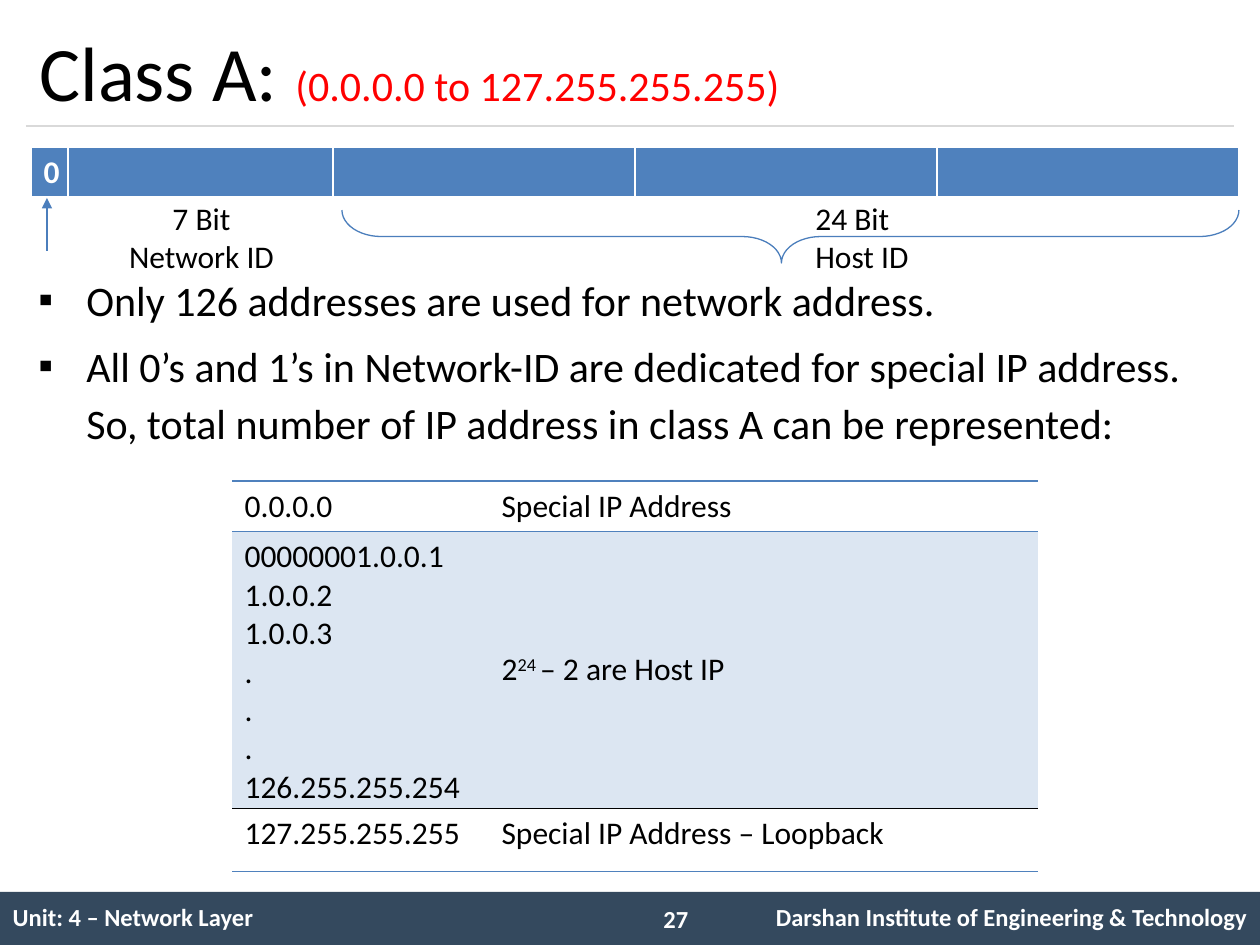
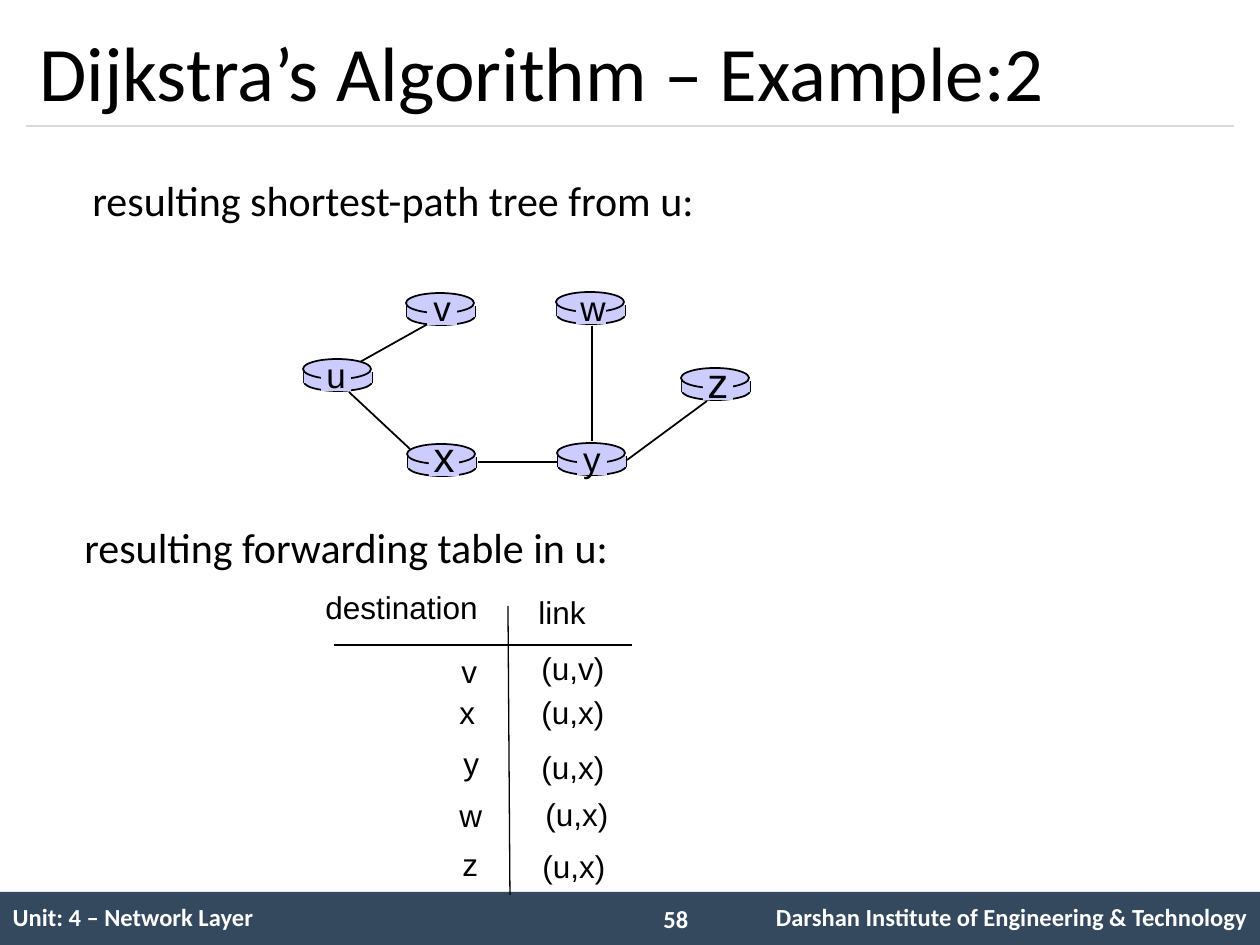
from dataclasses import dataclass
from typing import NamedTuple

from lxml import etree
from pptx import Presentation
from pptx.dml.color import RGBColor
from pptx.enum.shapes import MSO_CONNECTOR, MSO_SHAPE
from pptx.enum.text import MSO_ANCHOR, PP_ALIGN
from pptx.oxml.ns import qn
from pptx.util import Pt

EMU_PER_PX = 914400 / 126
SLIDE_W, SLIDE_H = 1260, 945

LEFT, CENTER, RIGHT = PP_ALIGN.LEFT, PP_ALIGN.CENTER, PP_ALIGN.RIGHT
TOP, MIDDLE = MSO_ANCHOR.TOP, MSO_ANCHOR.MIDDLE
RECTANGLE, OVAL, LEFT_BRACE = MSO_SHAPE.RECTANGLE, MSO_SHAPE.OVAL, MSO_SHAPE.LEFT_BRACE
STRAIGHT = MSO_CONNECTOR.STRAIGHT

BLACK = RGBColor(0x00, 0x00, 0x00)
WHITE = RGBColor(0xFF, 0xFF, 0xFF)
RED = RGBColor(0xFF, 0x00, 0x00)
NAVY = RGBColor(0x34, 0x49, 0x5E)
RULE_GRAY = RGBColor(0xD9, 0xD9, 0xD9)
BLUE = RGBColor(0x4F, 0x81, 0xBD)
PALE_BLUE = RGBColor(0xDC, 0xE6, 0xF2)
MARK_BLUE = RGBColor(0x4B, 0x7E, 0xBC)
LILAC = RGBColor(0xCC, 0xCC, 0xFF)

UNIT = "Unit: 4 – Network Layer"
INSTITUTE = "Darshan Institute of Engineering & Technology"


class Box(NamedTuple):
    x: int
    y: int
    w: int
    h: int


class Segment(NamedTuple):
    x1: int
    y1: int
    x2: int
    y2: int


class Border(NamedTuple):
    color: RGBColor
    points: float


@dataclass(frozen=True)
class Style:
    size: int
    color: RGBColor = BLACK
    font: str = "Calibri"
    bold: bool = False


@dataclass(frozen=True)
class Router:
    label: str
    x: int
    y: int
    label_center: tuple[int, int]
    size: int = 20


@dataclass(frozen=True)
class Route:
    destination: str
    destination_at: tuple[int, int]
    link: str
    link_at: tuple[int, int]


TITLE = Style(44)
TITLE_RANGE = Style(24, RED)
BODY = Style(24)
NOTE = Style(18)
FOOTER = Style(14, WHITE, bold=True)
BIT = Style(18, WHITE, bold=True)
ROUTE = Style(18, font="Arial")

ROUTERS = [
    Router("u", 303, 359, (336, 375)),
    Router("x", 407, 444, (444, 456), 24),
    Router("v", 406, 293, (442, 308)),
    Router("w", 556, 292, (591, 308)),
    Router("y", 557, 443, (592, 459)),
    Router("z", 681, 368, (718, 382), 24),
]
TREE_LINKS = [
    Segment(360, 362, 435, 320),
    Segment(592, 326, 592, 441),
    Segment(627, 460, 707, 401),
    Segment(558, 462, 478, 462),
    Segment(410, 449, 349, 392),
]
ROUTES = [
    Route("v", (449, 646), "(u,v)", (529, 643)),
    Route("x", (447, 687), "(u,x)", (529, 687)),
    Route("y", (451, 738), "(u,x)", (529, 742)),
    Route("w", (447, 790), "(u,x)", (533, 789)),
    Route("z", (450, 839), "(u,x)", (530, 841)),
]


def px(length: float) -> int:
    return round(length * EMU_PER_PX)


def emu(lengths) -> list[int]:
    return [px(length) for length in lengths]


def set_font(font, style: Style) -> None:
    font.name, font.size, font.bold = style.font, Pt(style.size), style.bold
    font.color.rgb = style.color


def write(frame, text: str, style: Style, align=LEFT) -> None:
    frame.text = text
    for paragraph in frame.paragraphs:
        paragraph.alignment = align
        set_font(paragraph.font, style)


def add_text(slide, box: Box, text: str, style: Style,
             align=LEFT, anchor=TOP, wrap: bool = True):
    frame = slide.shapes.add_textbox(*emu(box)).text_frame
    frame.word_wrap, frame.vertical_anchor = wrap, anchor
    write(frame, text, style, align)
    return frame


def add_shape(slide, kind, box: Box, fill: RGBColor | None, border: Border | None = None):
    shape = slide.shapes.add_shape(kind, *emu(box))
    shape.shadow.inherit = False
    if fill is None:
        shape.fill.background()
    else:
        shape.fill.solid()
        shape.fill.fore_color.rgb = fill
    if border is None:
        shape.line.fill.background()
    else:
        shape.line.color.rgb, shape.line.width = border.color, Pt(border.points)
    return shape


def add_line(slide, segment: Segment, border: Border, arrow: bool = False) -> None:
    line = slide.shapes.add_connector(STRAIGHT, *emu(segment))
    line.line.color.rgb, line.line.width = border.color, Pt(border.points)
    if arrow:
        etree.SubElement(line.line._get_or_add_ln(), qn("a:tailEnd"), type="triangle")
    etree.SubElement(line._element.spPr, qn("a:effectLst"))


def add_plain_table(slide, x: int, y: int, widths: list[int], heights: list[int]):
    """Add a table without header or banding looks."""
    box = Box(x, y, sum(widths), sum(heights))
    table = slide.shapes.add_table(len(heights), len(widths), *emu(box)).table
    table.first_row = table.horz_banding = False
    for column, width in zip(table.columns, widths):
        column.width = px(width)
    for row, height in zip(table.rows, heights):
        row.height = px(height)
    return table


def paint_cell(cell, fill: RGBColor | None, left: Border | None = None,
               right: Border | None = None, top: Border | None = None,
               bottom: Border | None = None) -> None:
    properties = cell._tc.get_or_add_tcPr()
    for side, border in zip("LRTB", (left, right, top, bottom)):
        edge = etree.SubElement(properties, qn(f"a:ln{side}"))
        if border is None:
            etree.SubElement(edge, qn("a:noFill"))
        else:
            edge.set("w", str(Pt(border.points)))
            solid = etree.SubElement(edge, qn("a:solidFill"))
            etree.SubElement(solid, qn("a:srgbClr"), val=str(border.color))
    if fill is None:
        cell.fill.background()
    else:
        cell.fill.solid()
        cell.fill.fore_color.rgb = fill


def add_footer(slide, number: int) -> None:
    add_shape(slide, RECTANGLE, Box(0, 892, SLIDE_W, 53), NAVY)
    footer = add_plain_table(slide, 0, 892, [640, 84, 536], [53])
    for cell, text, align in zip(footer.iter_cells(), (UNIT, "", INSTITUTE), (LEFT, LEFT, RIGHT)):
        paint_cell(cell, None)
        cell.vertical_anchor = MIDDLE
        write(cell.text_frame, text, FOOTER, align)
    add_text(slide, Box(651, 898, 73, 43), str(number), FOOTER)


def add_framed_slide(deck, number: int, title: list[tuple[str, Style]]):
    """Add a slide with title, title rule and footer."""
    slide = deck.slides.add_slide(deck.slide_layouts[6])
    add_line(slide, Segment(26, 126, 1234, 126), Border(RULE_GRAY, 0.75))
    add_footer(slide, number)
    frame = add_text(slide, Box(27, 15, 1207, 111), "", TITLE, anchor=MIDDLE)
    for words, style in title:
        run = frame.paragraphs[0].add_run()
        run.text = words
        set_font(run.font, style)
    return slide


def add_address_bits(slide) -> None:
    bits = add_plain_table(slide, 31, 147, [37, 265, 302, 302, 302], [51])
    thin, thick = Border(WHITE, 1), Border(WHITE, 3)
    for cell in bits.iter_cells():
        paint_cell(cell, BLUE, thin, thin, thin, thick)
    write(bits.cell(0, 0).text_frame, "0", BIT)

    mark = Border(MARK_BLUE, 0.75)
    add_line(slide, Segment(47, 251, 47, 198), mark, arrow=True)
    add_text(slide, Box(115, 193, 173, 89), "7 Bit Network ID", NOTE, CENTER)
    brace = add_shape(slide, LEFT_BRACE, Box(764, -212, 53, 897), None, mark)
    brace.rotation = 270
    brace.adjustments[0], brace.adjustments[1] = 0.74, 0.49
    add_text(slide, Box(803, 193, 141, 89), "24 Bit Host ID", NOTE)


def add_bullets(slide, box: Box, lines: list[str]) -> None:
    frame = add_text(slide, box, "\n".join(lines), BODY)
    for index, paragraph in enumerate(frame.paragraphs):
        properties = paragraph._p.get_or_add_pPr()
        properties.set("marL", str(px(48)))
        properties.set("indent", str(px(-48)))
        properties.insert(0, etree.Element(qn("a:buFont"), typeface="Arial"))
        properties.insert(1, etree.Element(qn("a:buChar"), char="▪"))
        paragraph.line_spacing = 1.14
        if index:
            paragraph.space_before = Pt(4.8)


def add_address_ranges(slide) -> None:
    ranges = add_plain_table(slide, 232, 481, [257, 549], [44, 239, 63])
    blue, black = Border(BLUE, 1), Border(BLACK, 1)
    row_looks = [(None, blue, blue), (PALE_BLUE, blue, black), (None, black, blue)]
    hosts = ["00000001.0.0.1", "1.0.0.2", "1.0.0.3", ".", ".", ".", "126.255.255.254"]
    rows = [
        ("0.0.0.0", "Special IP Address"),
        ("\n".join(hosts), ""),
        ("127.255.255.255", "Special IP Address – Loopback"),
    ]
    for r, (texts, (fill, top, bottom)) in enumerate(zip(rows, row_looks)):
        for c, text in enumerate(texts):
            cell = ranges.cell(r, c)
            paint_cell(cell, fill, top=top, bottom=bottom)
            write(cell.text_frame, text, NOTE)

    host_count = ranges.cell(1, 1)
    host_count.vertical_anchor = MIDDLE
    for words, baseline in [("2", 0), ("24 ", 30000), ("– 2 are Host IP", 0)]:
        run = host_count.text_frame.paragraphs[0].add_run()
        run.text = words
        if baseline:
            run._r.get_or_add_rPr().set("baseline", str(baseline))


def add_router(slide, router: Router) -> None:
    """Draw a flat disc with its letter on a small patch."""
    x, y, outline = router.x, router.y, Border(BLACK, 1)
    label_x, label_y = router.label_center
    add_shape(slide, OVAL, Box(x + 1, y + 14, 68, 18), LILAC, outline)
    for side in (x + 1, x + 69):
        add_line(slide, Segment(side, y + 13, side, y + 24), outline)
    add_shape(slide, RECTANGLE, Box(x + 1, y + 13, 68, 11), LILAC)
    add_shape(slide, OVAL, Box(x, y, 68, 20), LILAC, outline)
    add_shape(slide, RECTANGLE, Box(label_x - 15, y + 3, 30, 29), LILAC)
    add_text(slide, Box(label_x - 23, label_y - 32, 46, 63), router.label,
             Style(router.size, font="Arial"), CENTER, MIDDLE, wrap=False)


def add_forwarding_table(slide) -> None:
    rule = Border(BLACK, 0.75)
    add_line(slide, Segment(508, 606, 510, 895), rule)
    add_line(slide, Segment(334, 645, 632, 645), rule)
    add_text(slide, Box(313, 582, 178, 50), "destination", ROUTE, wrap=False)
    add_text(slide, Box(526, 587, 73, 50), "link", ROUTE, wrap=False)
    for route in ROUTES:
        add_text(slide, Box(*route.destination_at, 42, 50), route.destination, ROUTE, wrap=False)
        add_text(slide, Box(*route.link_at, 88, 50), route.link, ROUTE, wrap=False)


def build_class_a(deck) -> None:
    slide = add_framed_slide(
        deck, 27, [("Class A: ", TITLE), ("(0.0.0.0 to 127.255.255.255)", TITLE_RANGE)])
    add_bullets(slide, Box(26, 261, 1207, 198), [
        "Only 126 addresses are used for network address.",
        "All 0’s and 1’s in Network-ID are dedicated for special IP address. "
        "So, total number of IP address in class A can be represented:",
    ])
    add_address_bits(slide)
    add_address_ranges(slide)


def build_dijkstra(deck) -> None:
    slide = add_framed_slide(deck, 58, [("Dijkstra’s Algorithm – Example:2", TITLE)])
    for link in TREE_LINKS:
        add_line(slide, link, Border(BLACK, 1))
    for router in ROUTERS:
        add_router(slide, router)
    add_text(slide, Box(80, 168, 638, 63), "resulting shortest-path tree from u:", BODY, wrap=False)
    add_forwarding_table(slide)
    add_text(slide, Box(72, 515, 557, 63), "resulting forwarding table in u:", BODY, wrap=False)


def main() -> None:
    deck = Presentation()
    deck.slide_width, deck.slide_height = px(SLIDE_W), px(SLIDE_H)
    build_class_a(deck)
    build_dijkstra(deck)
    deck.save("out.pptx")


if __name__ == "__main__":
    main()
